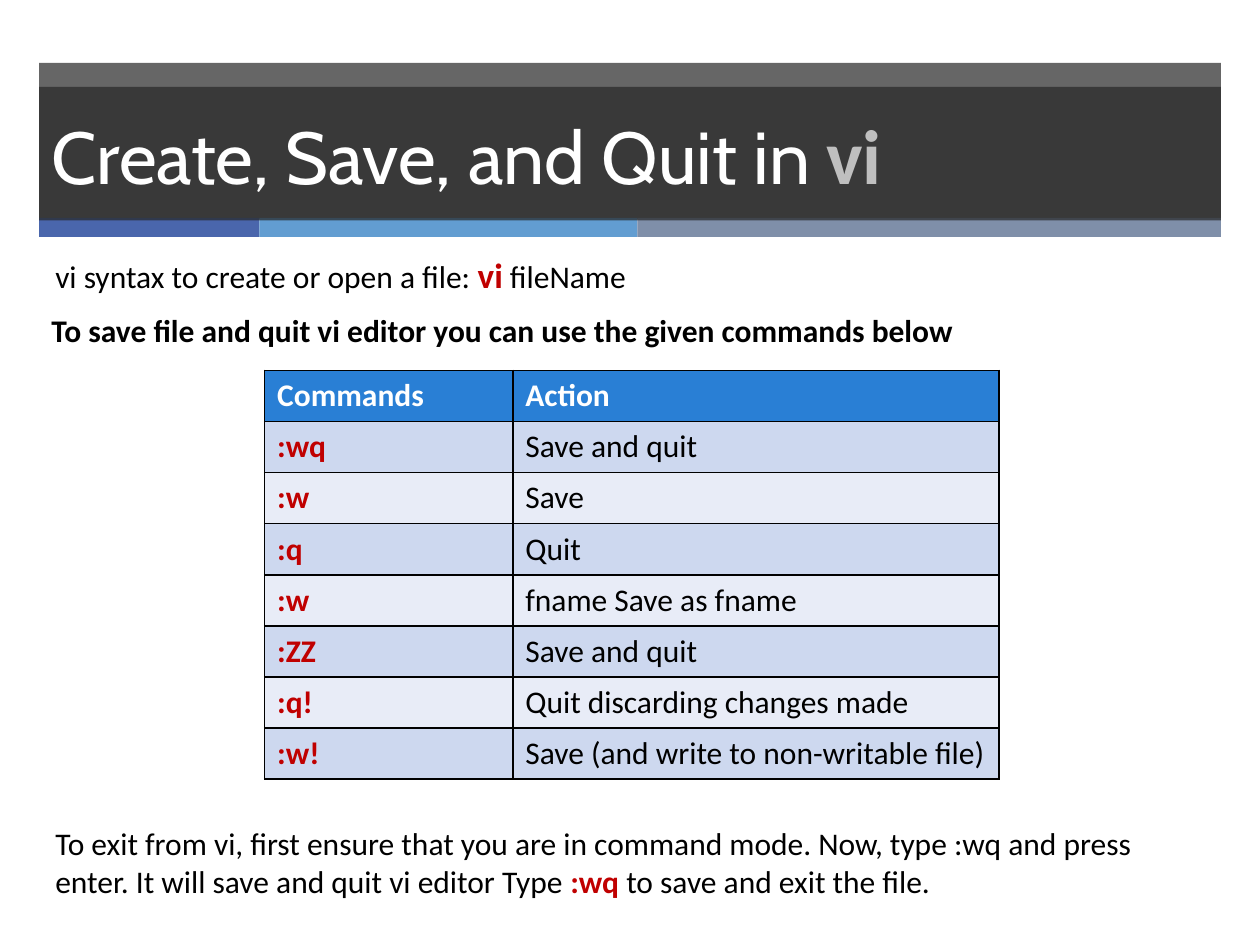
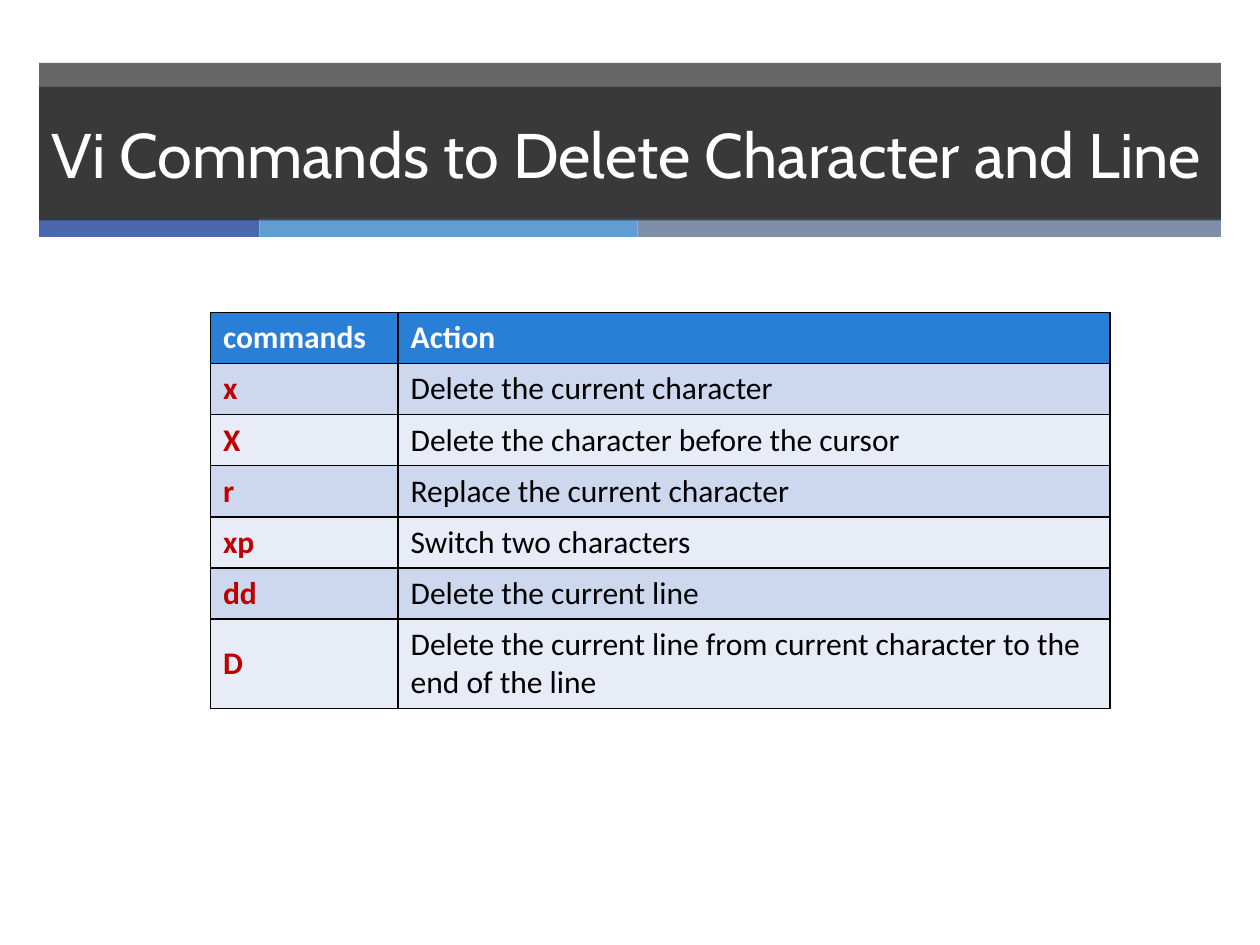
from lxml import etree
from pptx import Presentation
from pptx.dml.color import RGBColor
from pptx.enum.shapes import MSO_SHAPE
from pptx.enum.text import MSO_ANCHOR, MSO_AUTO_SIZE, PP_ALIGN
from pptx.oxml.ns import qn
from pptx.util import Inches, Pt

RECTANGLE = MSO_SHAPE.RECTANGLE
TOP, MIDDLE = MSO_ANCHOR.TOP, MSO_ANCHOR.MIDDLE
LEFT = PP_ALIGN.LEFT
NO_FIT, GROW = MSO_AUTO_SIZE.NONE, MSO_AUTO_SIZE.SHAPE_TO_FIT_TEXT
TITLE_ONLY = 5

BLACK = RGBColor(0x00, 0x00, 0x00)
WHITE = RGBColor(0xFF, 0xFF, 0xFF)
CHARCOAL = RGBColor(0x26, 0x26, 0x26)
SILVER = RGBColor(0xBF, 0xBF, 0xBF)
RED = RGBColor(0xC0, 0x00, 0x00)
HEADER_BLUE = RGBColor(0x29, 0x7F, 0xD5)
ROW_FILLS = (RGBColor(0xCD, 0xD8, 0xEF), RGBColor(0xE8, 0xEC, 0xF7))

TITLE_FONT, BODY_FONT = "Cabin", "Calibri"
BAND_LEFT, BAND_WIDTH = 0.31, 9.38
# Width and colour of each part of the strip under the title
STRIP = (
    (1.75, RGBColor(0x4A, 0x66, 0xAC)),
    (3.0, RGBColor(0x62, 0x9D, 0xD1)),
    (4.63, RGBColor(0x7F, 0x8F, 0xA9)),
)
ROW_HEIGHT = 0.405

SAVE_COMMANDS = (
    ("Commands", "Action"),
    (":wq", "Save and quit"),
    (":w", "Save"),
    (":q", "Quit"),
    (":w", "fname Save as fname"),
    (":ZZ", "Save and quit"),
    (":q!", "Quit discarding changes made"),
    (":w!", "Save (and write to non-writable file)"),
)
DELETE_COMMANDS = (
    ("commands", "Action"),
    ("x", "Delete the current character"),
    ("X", "Delete the character before the cursor"),
    ("r", "Replace the current character"),
    ("xp", "Switch two characters"),
    ("dd", "Delete the current line"),
    ("D", "Delete the current line from current character to the end of the line"),
)


def add_span(para, text, size=18, font=BODY_FONT, color=BLACK, bold=False):
    span = para.add_run()
    span.text = text
    span.font.size = Pt(size)
    span.font.name = font
    span.font.color.rgb = color
    span.font.bold = bold


def set_fill(shape, color, opacity=100):
    shape.fill.solid()
    shape.fill.fore_color.rgb = color
    if opacity < 100:
        color_tag = next(shape._element.spPr.iter(qn("a:srgbClr")))
        etree.SubElement(color_tag, qn("a:alpha"), val=str(opacity * 1000))


def add_band(page, left, top, width, height, color, opacity=100):
    band = page.shapes.add_shape(
        RECTANGLE, Inches(left), Inches(top), Inches(width), Inches(height))
    band.shadow.inherit = False
    band.line.fill.background()
    set_fill(band, color, opacity)


def add_page(deck):
    """Add a page with the title bands and return it with its title paragraph."""
    page = deck.slides.add_slide(deck.slide_layouts[TITLE_ONLY])
    add_band(page, BAND_LEFT, 0.5, BAND_WIDTH, 1.24, CHARCOAL, 70)
    left = BAND_LEFT
    for width, color in STRIP:
        add_band(page, left, 1.73, width, 0.15, color)
        left += width

    # The title lies in front of the bands
    title = page.shapes.title
    page.shapes._spTree.append(title._element)
    title.left, title.top = Inches(BAND_LEFT), Inches(0.69)
    title.width, title.height = Inches(BAND_WIDTH), Inches(1.06)
    set_fill(title, CHARCOAL, 70)
    frame = title.text_frame
    frame.auto_size = NO_FIT
    frame.vertical_anchor = MIDDLE
    para = frame.paragraphs[0]
    para.alignment = LEFT
    return page, para


def add_text(page, left, top, width, height, spans, wrap=False):
    box = page.shapes.add_textbox(
        Inches(left), Inches(top), Inches(width), Inches(height))
    box.text_frame.word_wrap = wrap
    box.text_frame.auto_size = GROW
    for text, style in spans:
        add_span(box.text_frame.paragraphs[0], text, **style)


def add_borders(cell):
    properties = cell._tc.get_or_add_tcPr()
    for position, side in enumerate(("lnL", "lnR", "lnT", "lnB")):
        line = etree.Element(qn(f"a:{side}"), w=str(Pt(1)))
        fill = etree.SubElement(line, qn("a:solidFill"))
        etree.SubElement(fill, qn("a:srgbClr"), val=str(BLACK))
        properties.insert(position, line)


def add_command_table(page, left, top, widths, rows, anchor=TOP):
    table = page.shapes.add_table(
        len(rows), len(widths), Inches(left), Inches(top),
        Inches(sum(widths)), Inches(ROW_HEIGHT * len(rows))).table
    for column, width in zip(table.columns, widths):
        column.width = Inches(width)
    for row_index, texts in enumerate(rows):
        is_header = row_index == 0
        for column_index, text in enumerate(texts):
            is_command = column_index == 0
            cell = table.cell(row_index, column_index)
            cell.vertical_anchor = anchor
            cell.fill.solid()
            cell.fill.fore_color.rgb = (
                HEADER_BLUE if is_header else ROW_FILLS[(row_index - 1) % 2])
            add_borders(cell)
            color = WHITE if is_header else RED if is_command else BLACK
            add_span(cell.text_frame.paragraphs[0], text, color=color,
                     bold=is_header or is_command)
    for row in table.rows:
        row.height = Inches(ROW_HEIGHT)


def build_save_page(deck):
    page, title = add_page(deck)
    add_span(title, "Create, Save, and Quit in ", size=42, font=TITLE_FONT, color=WHITE)
    add_span(title, "vi", size=44, color=SILVER, bold=True)
    add_command_table(page, 2.1, 2.94, (1.97, 3.86), SAVE_COMMANDS)
    add_text(page, 0.34, 6.49, 9.35, 0.71, (
        ("To exit from vi, first ensure that you are in command mode. Now, type :wq "
         "and press enter. It will save and quit vi editor Type ", {}),
        (":wq ", {"color": RED, "bold": True}),
        ("to save and exit the file.", {}),
    ), wrap=True)
    add_text(page, 0.34, 1.96, 4.79, 0.44, (
        ("vi syntax to create or open a file: ", {}),
        ("vi", {"size": 20, "color": RED, "bold": True}),
        (" fileName", {}),
    ))
    add_text(page, 0.31, 2.42, 7.42, 0.4, (
        ("To save file and quit vi editor you can use the given commands below",
         {"bold": True}),
    ))


def build_delete_page(deck):
    page, title = add_page(deck)
    add_span(title, "Vi Commands to Delete Character and Line",
             size=36, font=TITLE_FONT, color=WHITE)
    add_command_table(page, 1.67, 2.48, (1.49, 5.65), DELETE_COMMANDS, anchor=MIDDLE)


def main():
    deck = Presentation()
    deck.slide_width, deck.slide_height = Inches(10), Inches(7.5)
    build_save_page(deck)
    build_delete_page(deck)
    deck.save("out.pptx")


if __name__ == "__main__":
    main()
